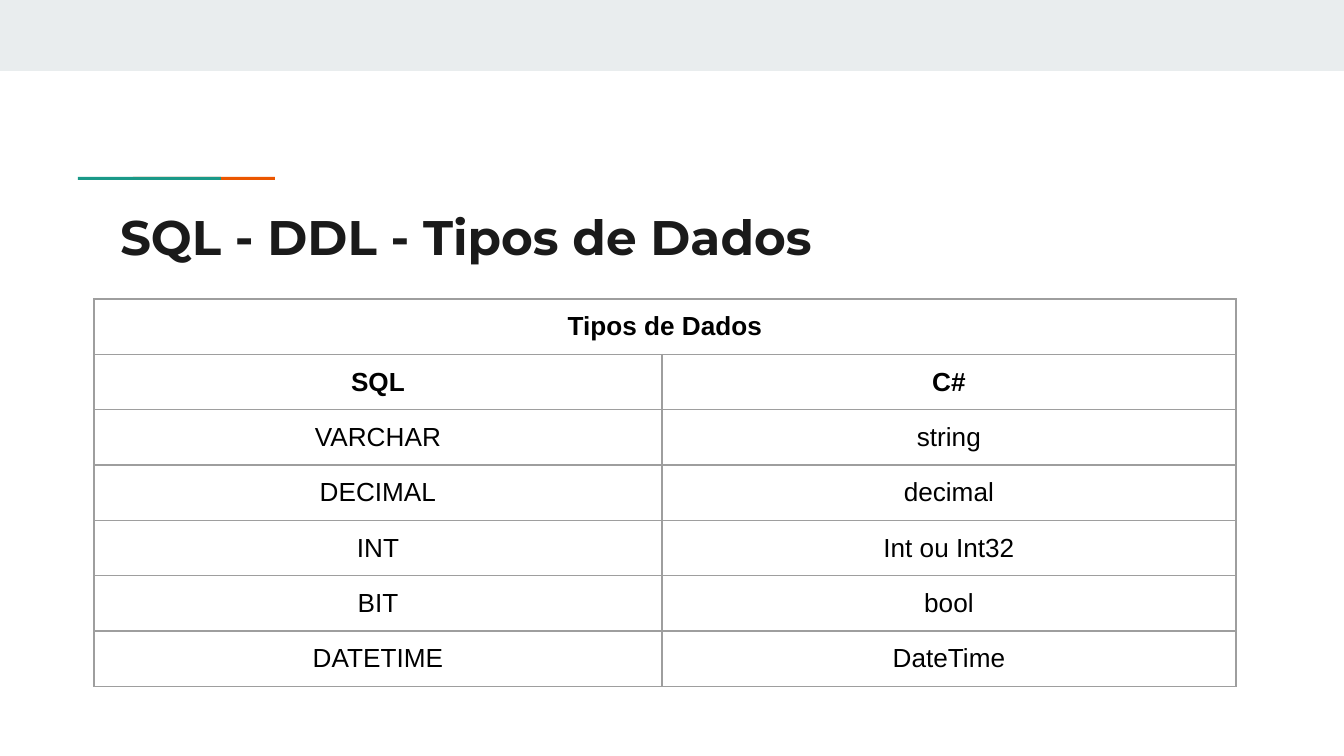
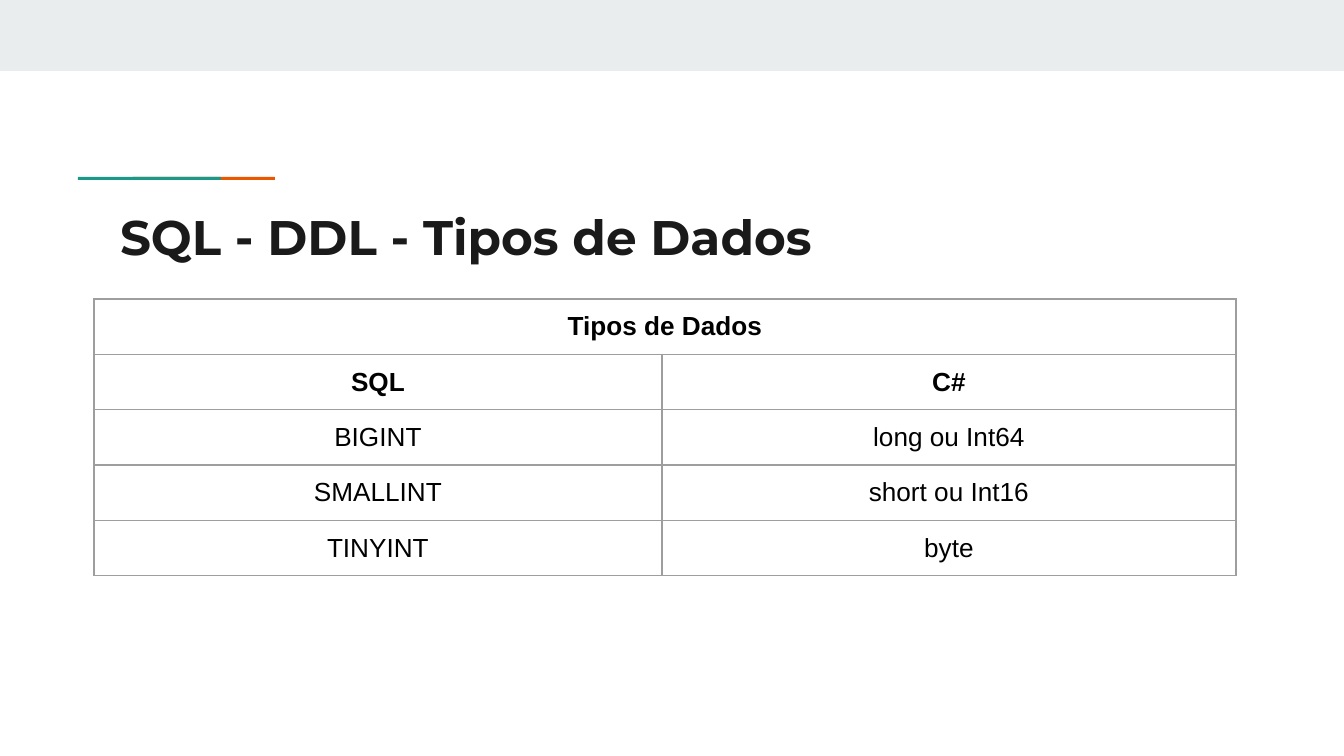
from dataclasses import dataclass

from lxml.etree import SubElement
from pptx import Presentation
from pptx.dml.color import RGBColor
from pptx.enum.shapes import MSO_SHAPE
from pptx.enum.text import MSO_ANCHOR, MSO_AUTO_SIZE, PP_ALIGN
from pptx.oxml.ns import qn
from pptx.slide import Slide
from pptx.table import _Cell
from pptx.text.text import TextFrame, _Paragraph
from pptx.util import Emu, Pt

EMU_PER_PIXEL = 914400 / 134.4
PAGE_WIDTH, PAGE_HEIGHT = 1344, 756

BAND_GRAY = RGBColor(0xE9, 0xED, 0xEE)
ORANGE = RGBColor(0xEB, 0x56, 0x00)
TEAL = RGBColor(0x1A, 0x99, 0x88)
TITLE_INK = RGBColor(0x1A, 0x1A, 0x1A)
BLACK = RGBColor(0x00, 0x00, 0x00)
BORDER_GRAY = RGBColor(0x9E, 0x9E, 0x9E)

TITLE_TEXT = "SQL - DDL - Tipos de Dados"
TABLE_HEADING = "Tipos de Dados"
COLUMN_NAMES = ("SQL", "C#")
COLUMN_WIDTHS = (568, 574)
ROW_HEIGHT = 47
INSET = 13
HEADER_ROWS = 2


@dataclass(frozen=True)
class Bounds:
    left: int
    top: int
    width: int
    height: int

    def emu(self) -> tuple[Emu, Emu, Emu, Emu]:
        return px(self.left), px(self.top), px(self.width), px(self.height)


@dataclass(frozen=True)
class Bar:
    bounds: Bounds
    color: RGBColor


@dataclass(frozen=True)
class TextStyle:
    font: str
    size: int
    color: RGBColor
    bold: bool


@dataclass(frozen=True)
class TypeMapping:
    sql: str
    csharp: str


BARS = (
    Bar(Bounds(0, 0, PAGE_WIDTH, 71), BAND_GRAY),
    Bar(Bounds(133, 177, 142, 3), ORANGE),
    Bar(Bounds(78, 177, 143, 3), TEAL),
)
TITLE_BOUNDS = Bounds(107, 194, 1130, 79)
TITLE_STYLE = TextStyle("Montserrat", 26, TITLE_INK, True)
HEADER_STYLE = TextStyle("Arial", 14, BLACK, True)
BODY_STYLE = TextStyle("Arial", 14, BLACK, False)

PAGES = (
    (
        TypeMapping("VARCHAR", "string"),
        TypeMapping("DECIMAL", "decimal"),
        TypeMapping("INT", "Int ou Int32"),
        TypeMapping("BIT", "bool"),
        TypeMapping("DATETIME", "DateTime"),
    ),
    (
        TypeMapping("BIGINT", "long ou Int64"),
        TypeMapping("SMALLINT", "short ou Int16"),
        TypeMapping("TINYINT", "byte"),
    ),
)


def px(pixels: int) -> Emu:
    return Emu(round(pixels * EMU_PER_PIXEL))


def add_span(paragraph: _Paragraph, text: str, style: TextStyle) -> None:
    span = paragraph.add_run()
    span.text = text
    span.font.name = style.font
    span.font.size = Pt(style.size)
    span.font.bold = style.bold
    span.font.color.rgb = style.color


def set_margins(target: TextFrame | _Cell) -> None:
    target.margin_left = target.margin_right = px(INSET)
    target.margin_top = target.margin_bottom = px(INSET)


def add_bar(page: Slide, bar: Bar) -> None:
    shape = page.shapes.add_shape(MSO_SHAPE.RECTANGLE, *bar.bounds.emu())
    shape.shadow.inherit = False
    shape.fill.solid()
    shape.fill.fore_color.rgb = bar.color
    shape.line.fill.background()


def format_title(page: Slide) -> None:
    title = page.shapes.title
    title.left, title.top, title.width, title.height = TITLE_BOUNDS.emu()
    frame = title.text_frame
    frame.word_wrap = True
    frame.auto_size = MSO_AUTO_SIZE.NONE
    frame.vertical_anchor = MSO_ANCHOR.TOP
    set_margins(frame)
    paragraph = frame.paragraphs[0]
    paragraph.alignment = PP_ALIGN.LEFT
    add_span(paragraph, TITLE_TEXT, TITLE_STYLE)


def add_borders(cell: _Cell) -> None:
    properties = cell._tc.get_or_add_tcPr()
    for position, side in enumerate(("a:lnL", "a:lnR", "a:lnT", "a:lnB")):
        line = SubElement(properties, qn(side), w=str(Pt(0.75)))
        fill = SubElement(line, qn("a:solidFill"))
        SubElement(fill, qn("a:srgbClr"), val=str(BORDER_GRAY))
        properties.insert(position, line)


def format_cell(cell: _Cell, text: str, style: TextStyle) -> None:
    cell.fill.background()
    cell.vertical_anchor = MSO_ANCHOR.MIDDLE
    set_margins(cell)
    add_borders(cell)
    if text:
        paragraph = cell.text_frame.paragraphs[0]
        paragraph.alignment = PP_ALIGN.CENTER
        add_span(paragraph, text, style)


def add_type_table(page: Slide, mappings: tuple[TypeMapping, ...]) -> None:
    rows = [(TABLE_HEADING, ""), COLUMN_NAMES]
    rows += [(mapping.sql, mapping.csharp) for mapping in mappings]
    bounds = Bounds(94, 299, sum(COLUMN_WIDTHS), ROW_HEIGHT * len(rows))
    table = page.shapes.add_table(len(rows), len(COLUMN_NAMES), *bounds.emu()).table
    table.first_row = False
    table.horz_banding = False
    for column, width in zip(table.columns, COLUMN_WIDTHS):
        column.width = px(width)
    table.cell(0, 0).merge(table.cell(0, 1))
    for row_index, texts in enumerate(rows):
        table.rows[row_index].height = px(ROW_HEIGHT)
        style = HEADER_STYLE if row_index < HEADER_ROWS else BODY_STYLE
        for column_index, text in enumerate(texts):
            format_cell(table.cell(row_index, column_index), text, style)


deck = Presentation()
deck.slide_width, deck.slide_height = px(PAGE_WIDTH), px(PAGE_HEIGHT)
title_only = deck.slide_layouts.get_by_name("Title Only")
for page_mappings in PAGES:
    new_page = deck.slides.add_slide(title_only)
    for page_bar in BARS:
        add_bar(new_page, page_bar)
    format_title(new_page)
    add_type_table(new_page, page_mappings)
deck.save("out.pptx")
